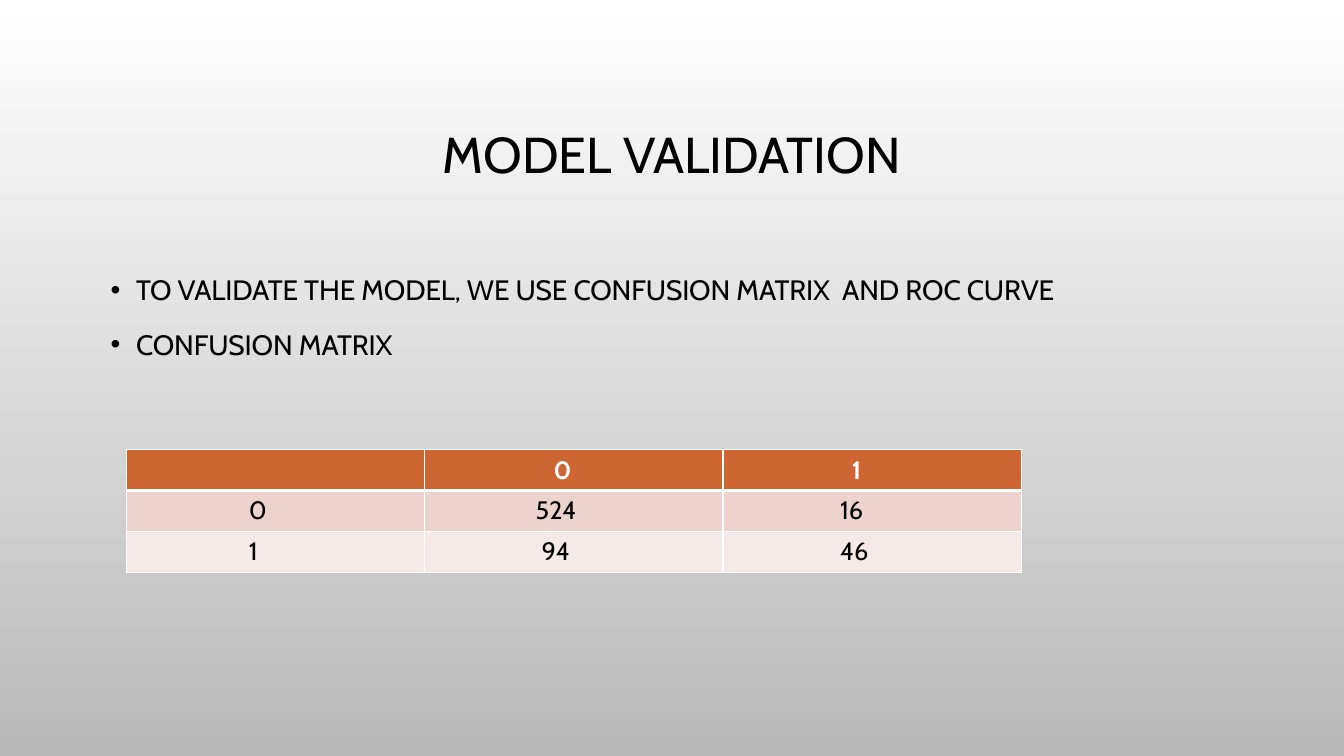
from lxml import etree
from pptx import Presentation
from pptx.dml.color import RGBColor
from pptx.enum.text import MSO_ANCHOR, PP_ALIGN
from pptx.oxml.ns import qn
from pptx.util import Cm, Pt

CENTER = PP_ALIGN.CENTER
MIDDLE = MSO_ANCHOR.MIDDLE
FONT = "Cabin"
BLACK = RGBColor(0x00, 0x00, 0x00)
WHITE = RGBColor(0xFF, 0xFF, 0xFF)
GRAY = RGBColor(0xB9, 0xB9, 0xB9)
ORANGE = RGBColor(0xCE, 0x66, 0x33)
ROSE = RGBColor(0xED, 0xD3, 0xCE)
PALE_ROSE = RGBColor(0xF6, 0xEA, 0xE8)

BULLETS = [
    "TO VALIDATE THE MODEL, WE USE CONFUSION MATRIX  AND ROC CURVE",
    "CONFUSION MATRIX",
]
MATRIX = [["", "0", "1"], ["0", "524", "16"], ["1", "94", "46"]]
INDENTS = [[0.25, 3.25, 3.25], [3.09, 2.8, 2.95], [3.09, 2.95, 2.95]]
ROW_FILLS = [ORANGE, ROSE, PALE_ROSE]


def paint_background(slide):
    fill = slide.background.fill
    fill.gradient()
    fill.gradient_angle = 270
    for stop, color, position in zip(fill.gradient_stops, (WHITE, GRAY), (0, 1)):
        stop.color.rgb = color
        stop.position = position


def format_runs(paragraph, size, color=BLACK, bold=False):
    for run in paragraph.runs:
        run.font.name = FONT
        run.font.size = Pt(size)
        run.font.color.rgb = color
        run.font.bold = bold


def add_text_frame(slide, top, height):
    shape = slide.shapes.add_textbox(Cm(2.54), Cm(top), Cm(28.78), Cm(height))
    shape.text_frame.word_wrap = True
    return shape.text_frame


def add_title(slide, text):
    text_frame = add_text_frame(slide, 1.73, 4.45)
    text_frame.vertical_anchor = MIDDLE
    text_frame.text = text
    paragraph = text_frame.paragraphs[0]
    paragraph.alignment = CENTER
    paragraph.line_spacing = 0.9
    format_runs(paragraph, 36)


def add_bullet(paragraph):
    properties = paragraph._p.get_or_add_pPr()
    properties.set("marL", str(Cm(0.64)))
    properties.set("indent", str(-Cm(0.64)))
    bullet_color = etree.SubElement(properties, qn("a:buClr"))
    etree.SubElement(bullet_color, qn("a:srgbClr"), val=str(BLACK))
    etree.SubElement(properties, qn("a:buFont"), typeface="Arial")
    etree.SubElement(properties, qn("a:buChar"), char="•")


def add_bullet_list(slide, lines):
    text_frame = add_text_frame(slide, 6.58, 9.5)
    text_frame.text = "\n".join(lines)
    for paragraph in text_frame.paragraphs:
        paragraph.line_spacing = 1.2
        paragraph.space_before = Pt(10)
        add_bullet(paragraph)
        format_runs(paragraph, 20)
        for run in paragraph.runs:
            run.font._element.set("spc", "-10")


def set_borders(cell, widths):
    properties = cell._tc.get_or_add_tcPr()
    for position, (side, width) in enumerate(widths.items()):
        line = etree.Element(qn(f"a:ln{side}"), w=str(Pt(width)))
        fill = etree.SubElement(line, qn("a:solidFill"))
        etree.SubElement(fill, qn("a:srgbClr"), val=str(WHITE))
        properties.insert(position, line)


def format_cell(cell, text, indent, row_index):
    is_header = row_index == 0
    cell.text = text
    cell.margin_left = Cm(indent)
    cell.fill.solid()
    cell.fill.fore_color.rgb = ROW_FILLS[row_index]
    format_runs(cell.text_frame.paragraphs[0], 18,
                WHITE if is_header else BLACK, is_header)
    top_width = 3 if row_index == 1 else 1
    bottom_width = 3 if is_header else 1
    set_borders(cell, {"L": 1, "R": 1, "T": top_width, "B": bottom_width})


def add_confusion_matrix(slide):
    table = slide.shapes.add_table(
        len(MATRIX), len(MATRIX[0]), Cm(3.18), Cm(11.33), Cm(22.56), Cm(3.09)).table
    for row_index, (values, indents) in enumerate(zip(MATRIX, INDENTS)):
        for column_index, (value, indent) in enumerate(zip(values, indents)):
            format_cell(table.cell(row_index, column_index), value, indent, row_index)


def main():
    presentation = Presentation()
    presentation.slide_width = Cm(33.87)
    presentation.slide_height = Cm(19.05)
    slide = presentation.slides.add_slide(presentation.slide_layouts[6])
    paint_background(slide)
    add_title(slide, "MODEL VALIDATION")
    add_bullet_list(slide, BULLETS)
    add_confusion_matrix(slide)
    presentation.save("out.pptx")


if __name__ == "__main__":
    main()
